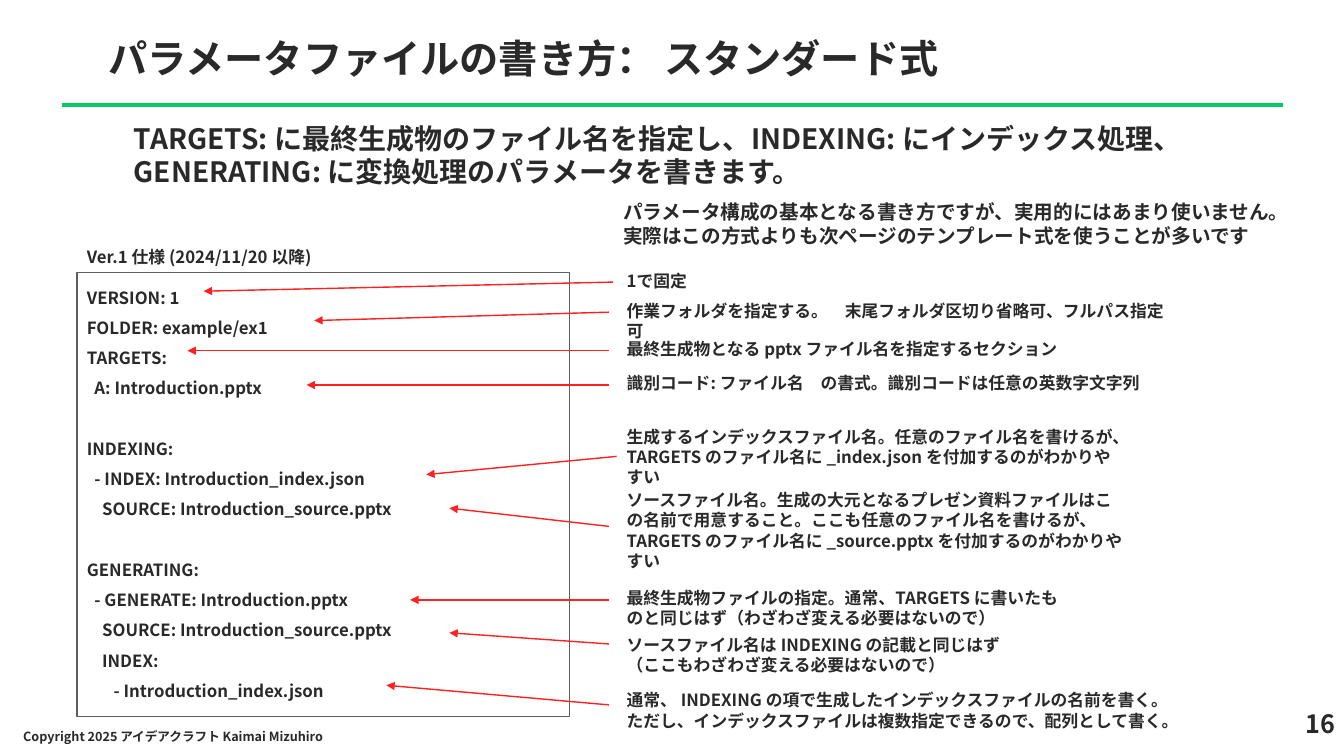
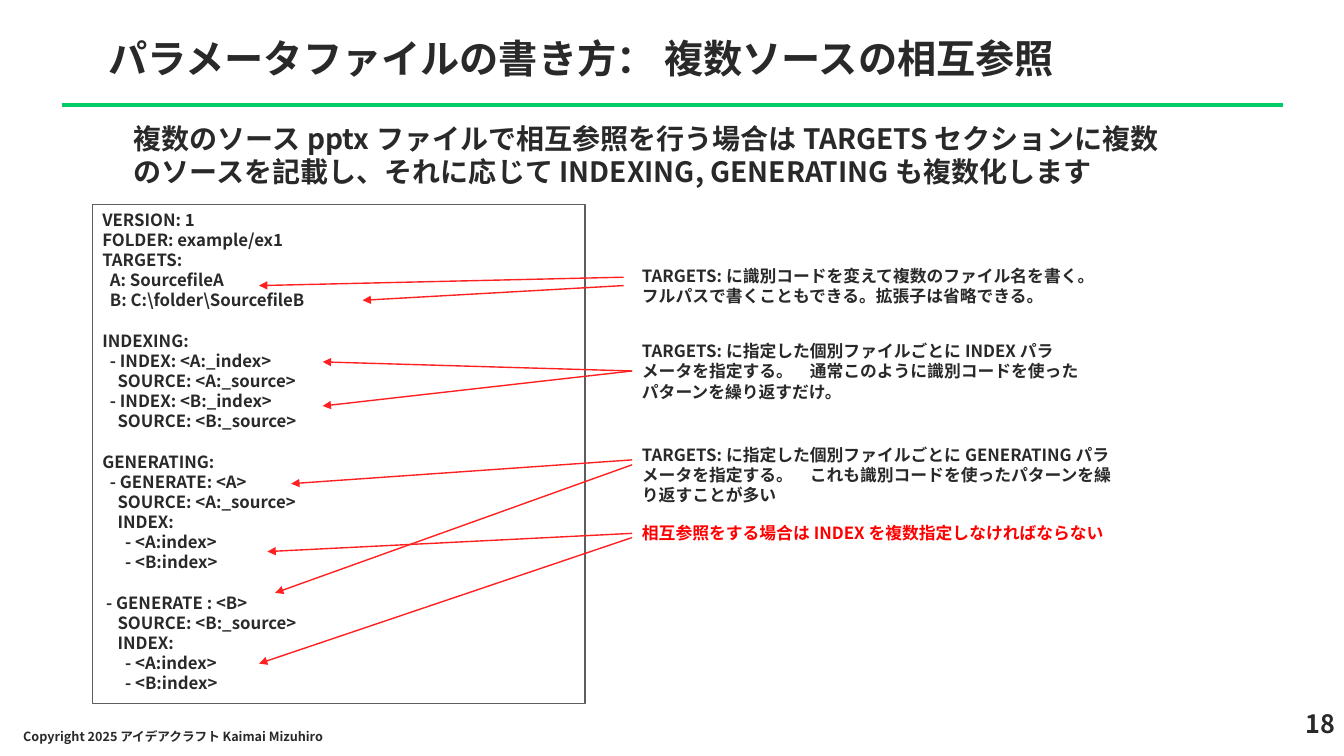
from lxml.etree import SubElement
from pptx import Presentation
from pptx.dml.color import RGBColor
from pptx.enum.shapes import MSO_CONNECTOR, MSO_SHAPE
from pptx.enum.text import MSO_ANCHOR, PP_ALIGN
from pptx.oxml.ns import qn
from pptx.util import Pt

INK = RGBColor(0x29, 0x29, 0x29)
GREEN = RGBColor(0x00, 0xCC, 0x66)
ARROW_RED = RGBColor(0xFF, 0x21, 0x21)
ALERT_RED = RGBColor(0xFF, 0x00, 0x00)
BORDER = RGBColor(0x5E, 0x5E, 0x5E)
WHITE = RGBColor(0xFF, 0xFF, 0xFF)

FONT = "Noto Sans CJK JP"
LINE_RATIO = 1.2
NOTE_SIZE = 12
FOOTER = "Copyright 2025 アイデアクラフト Kaimai Mizuhiro"


def assign(target, values):
    for name, value in values.items():
        setattr(target, name, value)


class Deck:
    def __init__(self):
        self.presentation = Presentation()
        assign(self.presentation, {"slide_width": Pt(960), "slide_height": Pt(540)})
        self.slide = None

    def start(self, title, lead, number):
        self.slide = self.presentation.slides.add_slide(self.presentation.slide_layouts[6])
        self.line((44, 75), (916.5, 75), GREEN, 2.25)
        self.text((70.5, 21, 862.5, 45.5), [title], 28)
        self.text((9.5, 516, 397.5, 20), [FOOTER], 9, anchor=MSO_ANCHOR.MIDDLE)
        self.text((843, 502.5, 118, 36), [number], 18, align=PP_ALIGN.RIGHT)
        self.text((88.5, 83, 754, 55.5), [lead], 20)

    def set_lines(self, shape, lines, size, color=INK, align=PP_ALIGN.LEFT,
                  anchor=MSO_ANCHOR.TOP, pitch=None, section_starts=()):
        pitch = pitch or size * LINE_RATIO
        frame = shape.text_frame
        assign(frame, {"word_wrap": True, "vertical_anchor": anchor})
        for index, line in enumerate(lines):
            paragraph = frame.paragraphs[0] if index == 0 else frame.add_paragraph()
            gap = pitch if index in section_starts else 0
            assign(paragraph, {"alignment": align, "line_spacing": Pt(pitch),
                               "space_before": Pt(gap)})
            run = paragraph.add_run()
            run.text = line
            assign(run.font, {"name": FONT, "size": Pt(size), "bold": True})
            run.font.color.rgb = color
            SubElement(run._r.get_or_add_rPr(), qn("a:ea")).set("typeface", FONT)

    def text(self, place, lines, size, **style):
        shape = self.slide.shapes.add_textbox(*map(Pt, place))
        self.set_lines(shape, lines, size, **style)

    def code(self, place, sections, pitch):
        shape = self.slide.shapes.add_shape(MSO_SHAPE.RECTANGLE, *map(Pt, place))
        shape.shadow.inherit = False
        shape.fill.solid()
        shape.fill.fore_color.rgb = WHITE
        shape.line.color.rgb = BORDER
        shape.line.width = Pt(1)
        lines, starts = [], []
        for section in sections:
            if lines:
                starts.append(len(lines))
            lines.extend(section)
        self.set_lines(shape, lines, NOTE_SIZE, pitch=pitch, section_starts=starts)

    def notes(self, left, entries):
        for top, width, rows, lines in entries:
            height = rows * NOTE_SIZE * LINE_RATIO + 7.2
            self.text((left, top, width, height), lines, NOTE_SIZE)

    def line(self, start, end, color, width):
        connector = self.slide.shapes.add_connector(
            MSO_CONNECTOR.STRAIGHT, *map(Pt, (*start, *end)))
        connector.line.color.rgb = color
        connector.line.width = Pt(width)
        SubElement(connector._element.spPr, qn("a:effectLst"))
        return connector

    def arrows(self, pairs):
        for start, end in pairs:
            connector = self.line(start, end, ARROW_RED, 1)
            outline = connector._element.spPr.find(qn("a:ln"))
            SubElement(outline, qn("a:tailEnd")).set("type", "triangle")


def standard_slide(deck):
    deck.start(
        "パラメータファイルの書き方： スタンダード式",
        "TARGETS: に最終生成物のファイル名を指定し、INDEXING: にインデックス処理、"
        "GENERATING: に変換処理のパラメータを書きます。",
        "16")
    deck.text((438, 139.5, 499, 41), [
        "パラメータ構成の基本となる書き方ですが、実用的にはあまり使いません。",
        "実際はこの方式よりも次ページのテンプレート式を使うことが多いです"], 14)
    deck.text((55, 173, 255, 21.6), ["Ver.1 仕様 (2024/11/20 以降)"], NOTE_SIZE)
    deck.code((55, 194.5, 352, 317.5), [
        ["VERSION: 1",
         "FOLDER: example/ex1",
         "TARGETS:",
         "  A: Introduction.pptx"],
        ["INDEXING:",
         "  - INDEX: Introduction_index.json",
         "    SOURCE: Introduction_source.pptx"],
        ["GENERATING:",
         "  - GENERATE: Introduction.pptx",
         "    SOURCE: Introduction_source.pptx",
         "    INDEX:",
         "       - Introduction_index.json"]], 21.6)
    deck.notes(440.5, [
        (190, 119, 1, ["1で固定"]),
        (211.5, 402.5, 1, ["作業フォルダを指定する。　末尾フォルダ区切り省略可、フルパス指定可"]),
        (238.5, 329, 1, ["最終生成物となる pptx ファイル名を指定するセクション"]),
        (263, 408, 1, ["識別コード: ファイル名　の書式。識別コードは任意の英数字文字列"]),
        (301, 368.5, 3, ["生成するインデックスファイル名。任意のファイル名を書けるが、"
                         "TARGETS のファイル名に _index.json を付加するのがわかりやすい"]),
        (346.5, 368.5, 4, ["ソースファイル名。生成の大元となるプレゼン資料ファイルはこの名前で用意すること。"
                           "ここも任意のファイル名を書けるが、"
                           "TARGETS のファイル名に _source.pptx を付加するのがわかりやすい"]),
        (416, 329, 2, ["最終生成物ファイルの指定。通常、TARGETS に書いたものと同じはず"
                       "（わざわざ変える必要はないので）"]),
        (450, 329, 2, ["ソースファイル名は INDEXING の記載と同じはず",
                       "（ここもわざわざ変える必要はないので）"]),
        (489.5, 420, 2, ["通常、 INDEXING の項で生成したインデックスファイルの名前を書く。",
                         "ただし、インデックスファイルは複数指定できるので、配列として書く。"])])
    deck.arrows([
        ((438, 201.5), (145.5, 208)),
        ((435, 223), (224.5, 229)),
        ((435, 250.5), (134, 250.5)),
        ((435, 275), (219, 275)),
        ((440.5, 326), (304.5, 339)),
        ((435, 376), (321, 363)),
        ((435, 428.5), (293, 428.5)),
        ((435, 460), (321, 452)),
        ((435, 503.5), (276, 489.5))])


def cross_reference_slide(deck):
    deck.start(
        "パラメータファイルの書き方： 複数ソースの相互参照",
        "複数のソース pptx ファイルで相互参照を行う場合は TARGETS セクションに"
        "複数のソースを記載し、それに応じて INDEXING, GENERATING も複数化します",
        "18")
    deck.code((66, 146, 352, 356.5), [
        ["VERSION: 1",
         "FOLDER: example/ex1",
         "TARGETS:",
         "  A: SourcefileA",
         "  B: C:\\folder\\SourcefileB"],
        ["INDEXING:",
         "  - INDEX: <A:_index>",
         "    SOURCE: <A:_source>",
         "  - INDEX: <B:_index>",
         "    SOURCE: <B:_source>"],
        ["GENERATING:",
         "  - GENERATE: <A>",
         "    SOURCE: <A:_source>",
         "    INDEX:",
         "      - <A:index>",
         "      - <B:index>"],
        [" - GENERATE : <B>",
         "    SOURCE: <B:_source>",
         "    INDEX:",
         "      - <A:index>",
         "      - <B:index>"]], 14.4)
    deck.notes(451.5, [
        (186.5, 352, 2, ["TARGETS: に識別コードを変えて複数のファイル名を書く。",
                         "フルパスで書くこともできる。拡張子は省略できる。"]),
        (240, 329, 3, ["TARGETS: に指定した個別ファイルごとに INDEX パラメータを指定する。"
                       "　通常このように識別コードを使ったパターンを繰り返すだけ。"]),
        (314, 352, 3, ["TARGETS: に指定した個別ファイルごとに GENERATING パラメータを指定する。"
                       "　これも識別コードを使ったパターンを繰り返すことが多い"])])
    deck.text((451.5, 370, 352, 21.6),
              ["相互参照をする場合は INDEX を複数指定しなければならない"],
              NOTE_SIZE, color=ALERT_RED)
    deck.arrows([
        ((445.5, 198), (185, 204)),
        ((445.5, 204), (259, 214.5)),
        ((451.5, 265), (230.5, 258.5)),
        ((451.5, 265), (230.5, 290)),
        ((451.5, 328.5), (208, 345.5)),
        ((451.5, 332), (196.5, 423.5)),
        ((451.5, 381), (191, 394)),
        ((451.5, 384), (185, 474))])


def main():
    deck = Deck()
    standard_slide(deck)
    cross_reference_slide(deck)
    deck.presentation.save("out.pptx")


if __name__ == "__main__":
    main()
